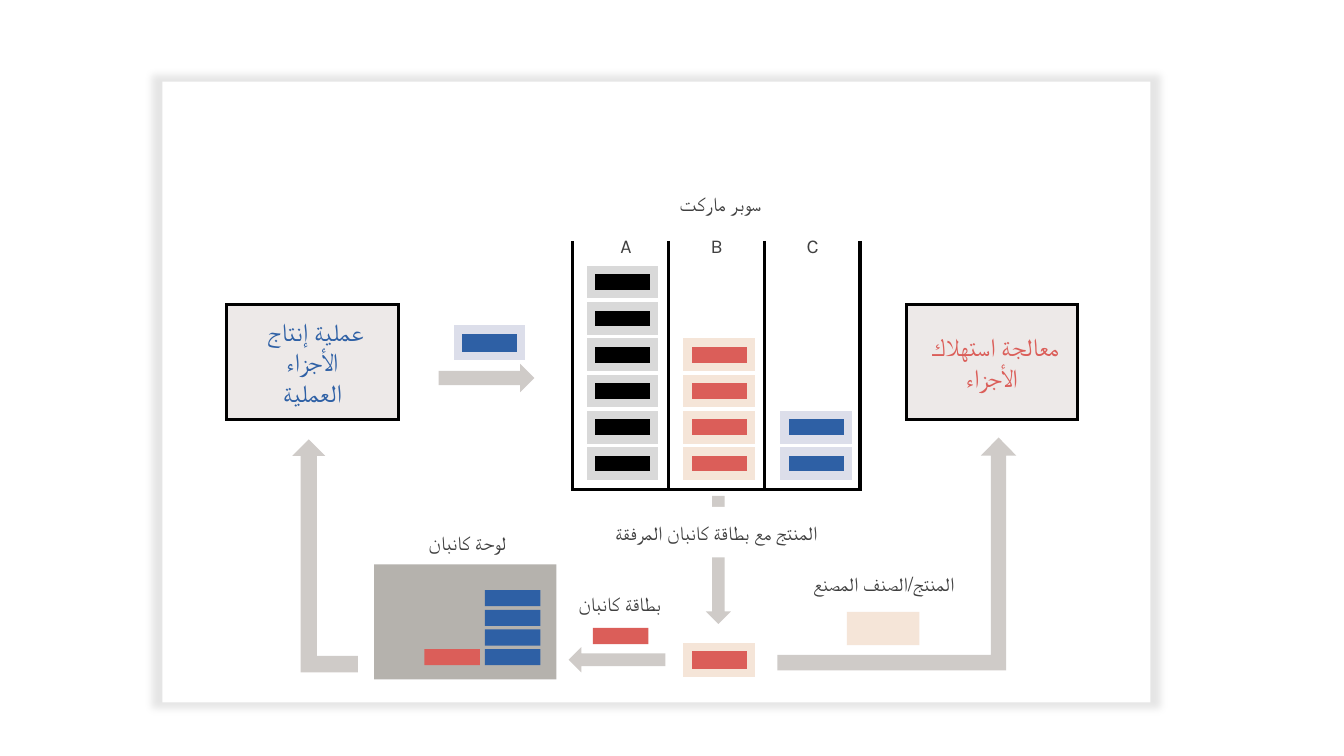
"""Build a slide that shows the kanban loop between a supermarket, consumption and production."""
from lxml.etree import SubElement
from pptx import Presentation
from pptx.dml.color import RGBColor
from pptx.enum.shapes import MSO_SHAPE as Shape
from pptx.enum.text import MSO_ANCHOR as Anchor, PP_ALIGN as Align
from pptx.oxml.ns import qn
from pptx.util import Inches, Pt

WHITE = RGBColor(0xFF, 0xFF, 0xFF)
BLACK = RGBColor(0x00, 0x00, 0x00)
BLUE = RGBColor(0x2E, 0x60, 0xA5)
PALE_BLUE = RGBColor(0xDC, 0xDE, 0xEA)
RED = RGBColor(0xDB, 0x5E, 0x59)
PEACH = RGBColor(0xF5, 0xE5, 0xD8)
PALE_GRAY = RGBColor(0xD9, 0xD9, 0xD9)
PROCESS_GRAY = RGBColor(0xED, 0xE9, 0xE8)
ARROW_GRAY = RGBColor(0xCF, 0xCB, 0xC8)
BOARD_GRAY = RGBColor(0xB5, 0xB2, 0xAD)
TEXT_GRAY = RGBColor(0x40, 0x40, 0x40)

prs = Presentation()
prs.slide_width, prs.slide_height = Inches(13.33), Inches(7.5)
slide = prs.slides.add_slide(prs.slide_layouts[6])


def add_part(box, fill=None, line=None, weight=2.25, kind=Shape.RECTANGLE, turn=0, adjust=()):
    part = slide.shapes.add_shape(kind, *[Inches(v) for v in box])
    part.shadow.inherit = False
    part.rotation = turn
    for i, value in enumerate(adjust):
        part.adjustments[i] = value
    if fill is None:
        part.fill.background()
    else:
        part.fill.solid()
        part.fill.fore_color.rgb = fill
    if line is None:
        part.line.fill.background()
    else:
        part.line.color.rgb = line
        part.line.width = Pt(weight)
        SubElement(part.line._get_or_add_ln(), qn("a:miter"), lim="800000")
    return part


def write(part, text, size=14, color=TEXT_GRAY, anchor=Anchor.MIDDLE):
    frame = part.text_frame
    frame.word_wrap = True
    frame.vertical_anchor = anchor
    frame.text = text
    for paragraph in frame.paragraphs:
        paragraph.alignment = Align.CENTER
        paragraph._p.get_or_add_pPr().set("rtl", "1")
        for run in paragraph.runs:
            run.font.name = "Karla"
            run.font.size = Pt(size)
            run.font.color.rgb = color


panel = add_part((1.61, 0.81, 9.8, 6.16), WHITE)
glow = SubElement(panel._element.spPr.find(qn("a:effectLst")), qn("a:outerShdw"),
                  blurRad=str(Pt(5)), sx="102000", sy="102000", algn="ctr", rotWithShape="0")
glow_color = SubElement(glow, qn("a:srgbClr"), val="000000")
SubElement(glow_color, qn("a:alpha"), val="10000")

for left, process, color in (
    (8.99, "معالجة استهلاك \vالأجزاء", RED),
    (2.25, "عملية إنتاج \vالأجزاء\nالعملية", BLUE),
):
    write(add_part((left, 3.02, 1.7, 1.14), PROCESS_GRAY, BLACK), process, size=18, color=color)

for box, turn in (
    ((4.35, 3.61, 0.95, 0.28), 0),
    ((5.64, 6.42, 0.96, 0.25), 180),
    ((6.49, 5.43, 1.27, 0.25), 90),
):
    add_part(box, ARROW_GRAY, kind=Shape.RIGHT_ARROW, turn=turn)

to_production = add_part((2.9, 4.36, 0.65, 2.31), ARROW_GRAY, kind=Shape.BENT_UP_ARROW)
to_production._element.spPr.find(qn("a:xfrm")).set("flipH", "1")
add_part((7.71, 4.34, 2.37, 2.31), ARROW_GRAY, kind=Shape.BENT_UP_ARROW,
         adjust=(0.066, 0.076, 0.078))

add_part((4.54, 3.27, 0.63, 0.26), BLUE, PALE_BLUE, 6)
add_part((6.82, 6.42, 0.63, 0.26), RED, PEACH, 6)
add_part((8.4, 6.07, 0.72, 0.33), PEACH)

add_part((3.71, 5.6, 1.81, 1.14), BOARD_GRAY)
for left, top in ((5.88, 6.23), (4.21, 6.44)):
    add_part((left, top, 0.55, 0.16), RED)
for row in range(4):
    add_part((4.81, 6.44 - row * 0.195, 0.55, 0.16), BLUE)

for lane, (name, label_left, count, color, border) in enumerate((
    ("A", 5.98, 6, BLACK, PALE_GRAY),
    ("B", 6.88, 4, RED, PEACH),
    ("C", 7.83, 2, BLUE, PALE_BLUE),
)):
    add_part((4.92 + lane * 0.95, 3.15, 2.47, 0.95), line=BLACK,
             kind=Shape.RIGHT_BRACKET, turn=90, adjust=(0,))
    for row in range(count):
        add_part((5.86 + lane * 0.96, 4.48 - row * 0.36, 0.63, 0.24), color, border, 6)
    write(add_part((label_left, 2.27, 0.46, 0.34), WHITE), name, anchor=Anchor.TOP)

for box, caption, fill, anchor in (
    ((6.17, 1.86, 1.95, 0.34), "سوبر ماركت", WHITE, Anchor.TOP),
    ((3.66, 5.22, 1.95, 0.34), "لوحة كانبان", WHITE, Anchor.TOP),
    ((5.68, 5.03, 2.85, 0.5), "المنتج مع بطاقة كانبان المرفقة", WHITE, Anchor.MIDDLE),
    ((5.62, 5.74, 1.05, 0.5), "بطاقة كانبان", None, Anchor.MIDDLE),
    ((7.62, 5.54, 2.29, 0.5), "المنتج/الصنف المصنع", None, Anchor.MIDDLE),
):
    write(add_part(box, fill), caption, anchor=anchor)

prs.save("out.pptx")
